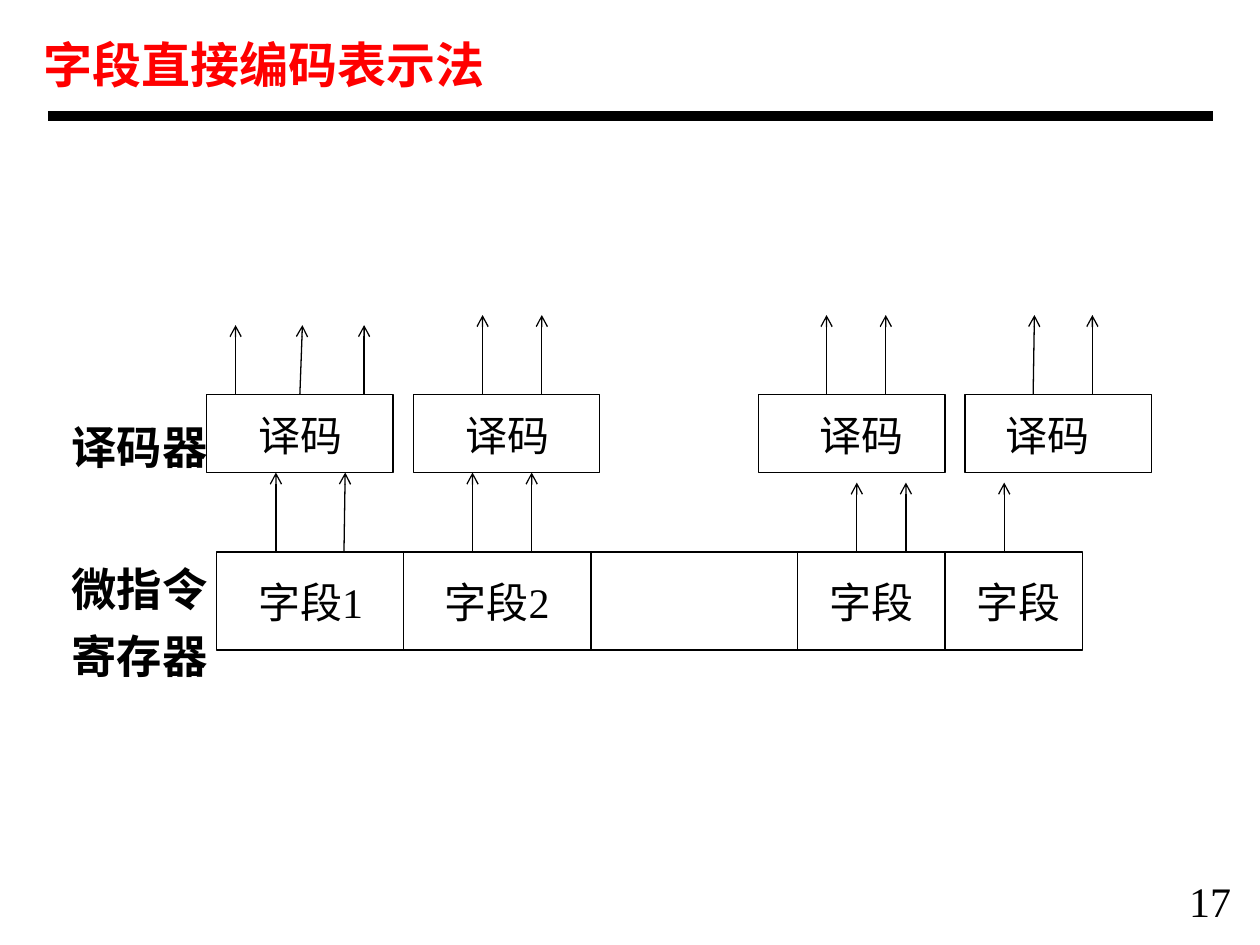
"""Build a slide showing direct field encoding of a microinstruction."""
from dataclasses import dataclass

import pptx
import pptx.dml.color
import pptx.enum.shapes
import pptx.enum.text
import pptx.oxml
import pptx.oxml.ns
import pptx.util
from pptx.util import Inches

ALIGN = pptx.enum.text.PP_ALIGN
ANCHOR = pptx.enum.text.MSO_ANCHOR


@dataclass(frozen=True)
class Theme:
    ink: str = "000000"
    accent: str = "FF0000"
    heading_font: str = "Arial"
    body_font: str = "Times New Roman"
    title_size: float = 28
    label_size: float = 25.9
    body_size: float = 24
    rule_width: float = 6
    line_width: float = 0.74


@dataclass(frozen=True)
class Decoder:
    left: float
    text_left: float
    output_top: float
    outputs: tuple[tuple[float, float], ...]


@dataclass(frozen=True)
class Field:
    right: float
    text: str
    text_left: float
    input_top: float
    inputs: tuple[tuple[float, float], ...]


THEME = Theme()
DECODER_TOP, DECODER_WIDTH, DECODER_HEIGHT = 3.13, 1.48, 0.62
REGISTER_LEFT, REGISTER_TOP, REGISTER_HEIGHT = 1.72, 4.38, 0.78
CAPTION_WIDTH, CAPTION_HEIGHT = 1.17, 0.5

DECODERS = (
    Decoder(1.64, 1.8, 2.58, ((1.87, 1.87), (2.38, 2.4), (2.89, 2.89))),
    Decoder(3.28, 3.44, 2.5, ((3.83, 3.83), (4.3, 4.3))),
    Decoder(6.02, 6.25, 2.5, ((6.56, 6.56), (7.03, 7.03))),
    Decoder(7.66, 7.73, 2.5, ((8.2, 8.21), (8.67, 8.67))),
)
FIELDS = (
    Field(3.2, "字段1", 1.88, 3.75, ((2.19, 2.19), (2.73, 2.74))),
    Field(4.69, "字段2", 3.36, 3.75, ((3.75, 3.75), (4.22, 4.22))),
    Field(6.33, "", 0, 0, ()),
    Field(7.5, "字段", 6.33, 3.83, ((6.8, 6.8), (7.19, 7.19))),
    Field(8.59, "字段", 7.5, 3.83, ((7.97, 7.97),)),
)
ROW_LABELS = (("译码器", 3.54), ("微指令", 4.67), ("寄存器", 5.2))


def color(value: str) -> pptx.dml.color.RGBColor:
    return pptx.dml.color.RGBColor.from_string(value)


def add_text(slide, text: str, left: float, top: float, width: float, height: float,
             size: float = THEME.body_size, font: str = THEME.body_font,
             ink: str = THEME.ink, bold: bool = False,
             alignment=ALIGN.CENTER, anchor=ANCHOR.TOP) -> None:
    shape = slide.shapes.add_textbox(Inches(left), Inches(top), Inches(width), Inches(height))
    frame = shape.text_frame
    frame.word_wrap = True
    frame.vertical_anchor = anchor
    paragraph = frame.paragraphs[0]
    paragraph.text = text
    paragraph.alignment = alignment
    paragraph.font.size = pptx.util.Pt(size)
    paragraph.font.name = font
    paragraph.font.bold = bold
    paragraph.font.color.rgb = color(ink)


def add_line(slide, start: tuple[float, float], end: tuple[float, float],
             width: float = THEME.line_width, arrow: bool = False) -> None:
    connector = slide.shapes.add_connector(
        pptx.enum.shapes.MSO_CONNECTOR.STRAIGHT, *map(Inches, start + end))
    connector.line.color.rgb = color(THEME.ink)
    connector.line.width = pptx.util.Pt(width)
    if arrow:
        head = pptx.oxml.parse_xml(
            f'<a:tailEnd {pptx.oxml.ns.nsdecls("a")} type="arrow"/>')
        connector.line._get_or_add_ln().append(head)
    connector._element.spPr.append(
        pptx.oxml.parse_xml(f'<a:effectLst {pptx.oxml.ns.nsdecls("a")}/>'))


def add_arrows(slide, spans: tuple[tuple[float, float], ...], bottom: float, top: float) -> None:
    for start, end in spans:
        add_line(slide, (start, bottom), (end, top), arrow=True)


def add_box(slide, left: float, top: float, width: float, height: float) -> None:
    shape = slide.shapes.add_shape(
        pptx.enum.shapes.MSO_SHAPE.RECTANGLE,
        Inches(left), Inches(top), Inches(width), Inches(height))
    shape.shadow.inherit = False
    shape.fill.background()
    shape.line.color.rgb = color(THEME.ink)
    shape.line.width = pptx.util.Pt(THEME.line_width)


def add_decoder(slide, decoder: Decoder) -> None:
    add_box(slide, decoder.left, DECODER_TOP, DECODER_WIDTH, DECODER_HEIGHT)
    add_arrows(slide, decoder.outputs, DECODER_TOP, decoder.output_top)
    add_text(slide, "译码", decoder.text_left, 3.2, CAPTION_WIDTH, CAPTION_HEIGHT)


def add_register(slide, fields: tuple[Field, ...]) -> None:
    add_box(slide, REGISTER_LEFT, REGISTER_TOP,
            fields[-1].right - REGISTER_LEFT, REGISTER_HEIGHT)
    for field in fields[:-1]:
        add_line(slide, (field.right, REGISTER_TOP),
                 (field.right, REGISTER_TOP + REGISTER_HEIGHT))
    for field in fields:
        add_arrows(slide, field.inputs, REGISTER_TOP, field.input_top)
        if field.text:
            add_text(slide, field.text, field.text_left, 4.53, CAPTION_WIDTH, CAPTION_HEIGHT)


def build() -> None:
    presentation = pptx.Presentation()
    presentation.slide_width = Inches(10)
    presentation.slide_height = Inches(7.5)
    slide = presentation.slides.add_slide(presentation.slide_layouts[6])
    add_line(slide, (0.38, 0.92), (9.63, 0.92), THEME.rule_width)
    add_text(slide, "17", 8.81, 6.9, 1.59, 0.5)
    add_text(slide, "字段直接编码表示法", 0.25, 0.17, 8.33, 0.67, THEME.title_size,
             THEME.heading_font, THEME.accent, True, ALIGN.LEFT, ANCHOR.MIDDLE)
    for text, middle in ROW_LABELS:
        add_text(slide, text, 0.47, middle - 0.25, 1.4, 0.5, THEME.label_size,
                 THEME.heading_font, THEME.ink, True, ALIGN.LEFT, ANCHOR.MIDDLE)
    add_register(slide, FIELDS)
    for decoder in DECODERS:
        add_decoder(slide, decoder)
    presentation.save("out.pptx")


build()
